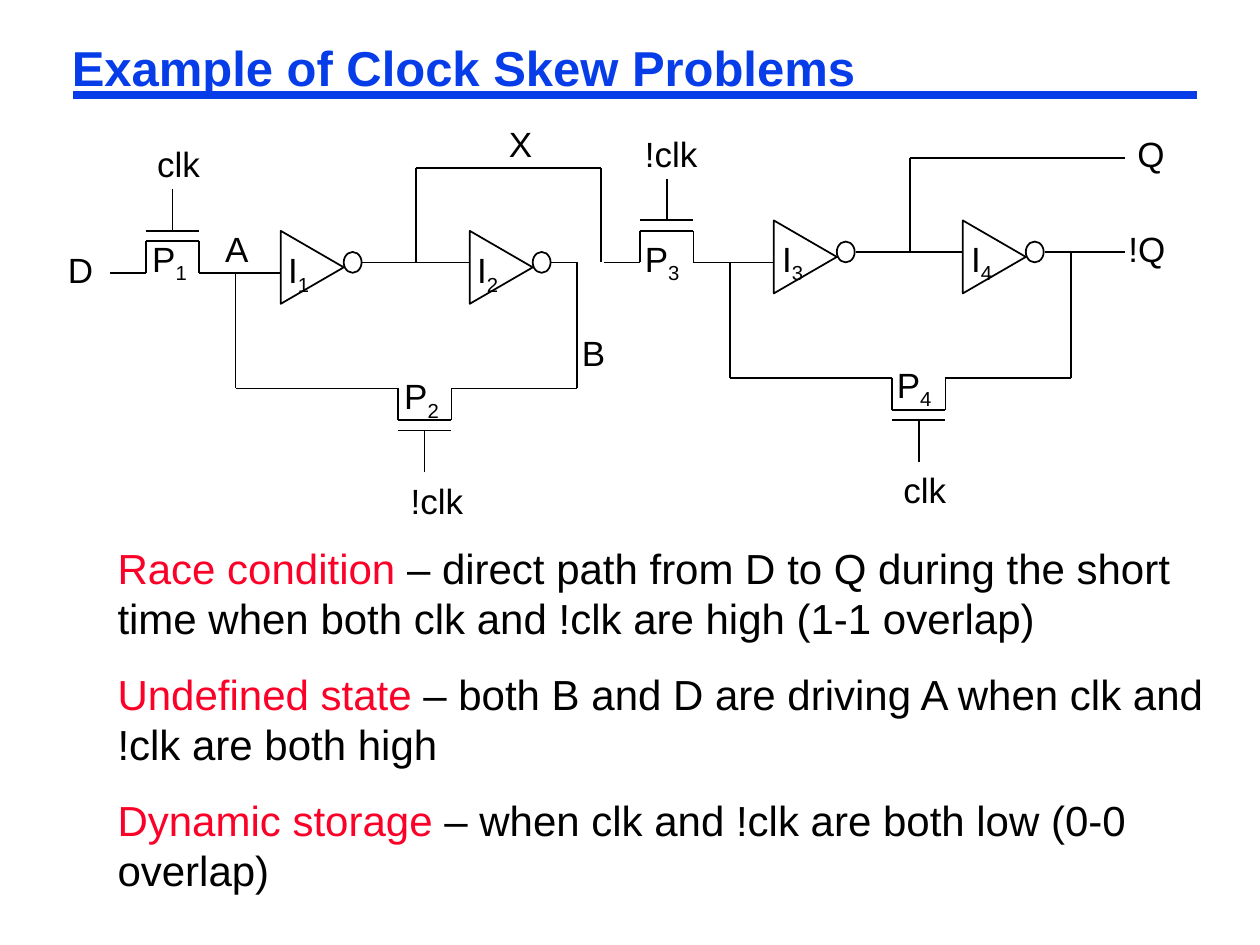
from itertools import pairwise

from lxml.etree import SubElement
from pptx import Presentation
from pptx.dml.color import RGBColor
from pptx.enum.shapes import MSO_CONNECTOR as Connector
from pptx.enum.shapes import MSO_SHAPE as Shape
from pptx.oxml.ns import qn
from pptx.util import Cm, Pt

BLACK, BLUE, RED = "000000", "063DE8", "FC0128"

LABELS = [
    ("D", 1.12, 4.88, 1.02), ("clk", 2.92, 2.74, 1.4),
    ("X", 10.01, 2.34, 0.99), ("!clk", 8.03, 9.53, 1.6),
    ("!Q", 22.5, 4.45, 1.4), ("!clk", 12.75, 2.54, 1.6),
    ("Q", 22.68, 2.54, 1.07), ("clk", 17.96, 9.32, 1.4),
    ("B", 11.48, 6.55, 0.99), ("A", 4.29, 4.45, 0.99),
]
NUMBERED_LABELS = [
    ("P", "1", 2.82, 4.65), ("P", "2", 7.9, 7.42),
    ("P", "3", 12.75, 4.65), ("P", "4", 17.83, 7.19),
    ("I", "1", 5.56, 4.88), ("I", "2", 9.37, 4.88),
    ("I", "3", 15.52, 4.65), ("I", "4", 19.33, 4.65),
]
WIRES = [
    [(4.39, 5.5), (5.66, 5.5)],
    [(7.29, 5.29), (9.47, 5.29)],
    [(8.38, 5.29), (8.38, 3.39), (12.12, 3.39), (12.12, 5.29)],
    [(11.1, 5.29), (11.63, 5.29), (11.63, 7.83), (9.65, 7.83)],
    [(4.75, 5.5), (4.75, 7.83), (7.65, 7.83)],
    [(14.33, 5.29), (15.6, 5.29)],
    [(17.25, 5.08), (19.41, 5.08)],
    [(18.34, 5.08), (18.34, 3.18), (22.68, 3.18)],
    [(21.06, 5.08), (22.68, 5.08)],
    [(21.59, 5.08), (21.59, 7.62), (19.61, 7.62)],
    [(14.71, 5.29), (14.71, 7.62), (17.6, 7.62)],
]
INVERTERS = [(5.66, 5.29), (9.47, 5.29), (15.6, 5.08), (19.41, 5.08)]
TRANSISTORS = [(3.48, 5.5, -1), (8.56, 7.83, 1), (13.44, 5.29, -1), (18.52, 7.62, 1)]
NOTES = [
    ("Race condition ", "– direct path from D to Q during the short time when "
     "both clk and !clk are high (1-1 overlap)", 22.66),
    ("Undefined state ", "– both B and D are driving A when clk and !clk are both high", 22.43),
    ("Dynamic storage ", "– when clk and !clk are both low (0-0 overlap)", 22.86),
]


def rgb(value):
    return RGBColor.from_string(value)


def add_wire(shapes, points, color=BLACK, width=1):
    for start, end in pairwise(points):
        line = shapes.add_connector(Connector.STRAIGHT, *map(Cm, start + end))
        line.line.color.rgb = rgb(color)
        line.line.width = Pt(width)
        SubElement(line._element.spPr, qn("a:effectLst"))


def add_outline(shapes, kind, left, top, width, height, rotation=0):
    shape = shapes.add_shape(kind, Cm(left), Cm(top), Cm(width), Cm(height))
    shape.rotation = rotation
    shape.fill.background()
    shape.line.color.rgb = rgb(BLACK)
    shape.line.width = Pt(1)
    shape.shadow.inherit = False


def add_text(slide, runs, box, size=20, bold=False, wrap=False, insets=(0.25, 0.13), spacing=None):
    frame = slide.shapes.add_textbox(*map(Cm, box)).text_frame
    frame.word_wrap = wrap
    frame.margin_left = frame.margin_right = Cm(insets[0])
    frame.margin_top = frame.margin_bottom = Cm(insets[1])
    paragraph = frame.paragraphs[0]
    paragraph.line_spacing = spacing
    for text, color, baseline in runs:
        run = paragraph.add_run()
        run.text = text
        run.font.name = "Arial"
        run.font.size = Pt(size)
        run.font.bold = bold
        run.font.color.rgb = rgb(color)
        if baseline:
            run._r.get_or_add_rPr().set("baseline", str(baseline * 1000))


def add_inverter(slide, x, y):
    shapes = slide.shapes.add_group_shape().shapes
    base, depth, bubble_width, bubble_height = 1.47, 1.27, 0.36, 0.42
    add_outline(shapes, Shape.ISOSCELES_TRIANGLE, x + (depth - base) / 2,
                y + 0.1 - depth / 2, base, depth, rotation=90)
    add_outline(shapes, Shape.OVAL, x + depth, y - bubble_height / 2,
                bubble_width, bubble_height)


def add_transistor(slide, x, y, direction):
    shapes = slide.shapes.add_group_shape().shapes
    channel, gate, gate_end = (y + direction * offset for offset in (0.64, 0.85, 1.69))
    left, right = x - 0.54, x + 0.54
    add_wire(shapes, [(x - 1.27, y), (left, y), (left, channel),
                      (right, channel), (right, y), (x + 1.27, y)])
    add_wire(shapes, [(left, gate), (right, gate)])
    add_wire(shapes, [(x, gate_end), (x, gate)])


def main():
    presentation = Presentation()
    presentation.slide_width, presentation.slide_height = Cm(25.4), Cm(19.05)
    slide = presentation.slides.add_slide(presentation.slide_layouts[6])

    add_wire(slide.shapes, [(1.48, 1.91), (24.13, 1.91)], color=BLUE, width=4.5)
    add_text(slide, [("Example of Clock Skew Problems", BLUE, 0)], (1.27, 0.84, 22.43, 1.17),
             size=28, bold=True, wrap=True, insets=(0.18, 0.08), spacing=0.87)

    for inverter in INVERTERS:
        add_inverter(slide, *inverter)
    for transistor in TRANSISTORS:
        add_transistor(slide, *transistor)
    for points in WIRES:
        add_wire(slide.shapes, points)

    for text, left, top, width in LABELS:
        add_text(slide, [(text, BLACK, 0)], (left, top, width, 1.1))
    for letter, number, left, top in NUMBERED_LABELS:
        width = 1.24 if letter == "P" else 0.97
        add_text(slide, [(letter, BLACK, 0), (number, BLACK, -25)], (left, top, width, 1.1))
    for row, (term, explanation, width) in enumerate(NOTES):
        add_text(slide, [(term, RED, 0), (explanation, BLACK, 0)],
                 (2.12, 10.8 + row * 2.54, width, 2.29), size=24, wrap=True)

    presentation.save("out.pptx")


if __name__ == "__main__":
    main()
